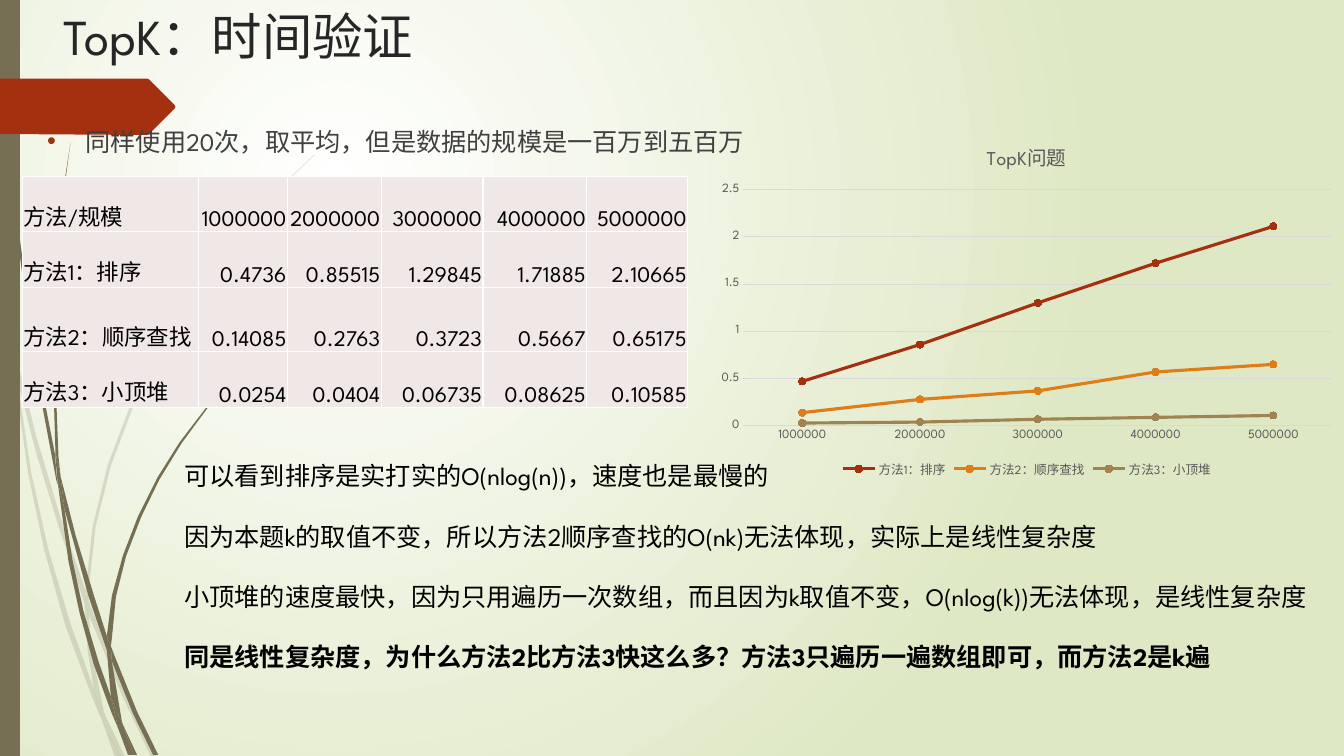
import lxml.etree
import pptx
import pptx.chart.data
import pptx.dml.color
import pptx.enum.chart
import pptx.enum.text
import pptx.oxml.ns
import pptx.util

Inches = pptx.util.Inches
Pt = pptx.util.Pt
RGBColor = pptx.dml.color.RGBColor
qn = pptx.oxml.ns.qn

FONT = "League Spartan"
WHITE = RGBColor(0xFF, 0xFF, 0xFF)
BLACK = RGBColor(0, 0, 0)
INK = RGBColor(0x26, 0x26, 0x26)
BODY = RGBColor(0x40, 0x40, 0x40)
LABEL = RGBColor(0x59, 0x59, 0x59)
GRID = RGBColor(0xD9, 0xD9, 0xD9)
CELL = RGBColor(0xF0, 0xE8, 0xE7)
MEADOW = RGBColor(0xDF, 0xE8, 0xC4)
STEM = RGBColor(0x76, 0x6F, 0x54)
RED = RGBColor(0xA5, 0x30, 0x10)
ORANGE = RGBColor(0xDE, 0x7E, 0x18)
TAN = RGBColor(0x9F, 0x83, 0x51)

SIZES = ["1000000", "2000000", "3000000", "4000000", "5000000"]
TIMES = {
    "方法1：排序": ["0.4736", "0.85515", "1.29845", "1.71885", "2.10665"],
    "方法2：顺序查找": ["0.14085", "0.2763", "0.3723", "0.5667", "0.65175"],
    "方法3：小顶堆": ["0.0254", "0.0404", "0.06735", "0.08625", "0.10585"],
}
COLUMN_WIDTHS = [1.75, 0.88, 0.93, 1.01, 1.03, 1]
ROW_HEIGHTS = [0.55, 0.55, 0.64, 0.55]
FINDINGS = [
    "可以看到排序是实打实的O(nlog(n))，速度也是最慢的",
    "因为本题k的取值不变，所以方法2顺序查找的O(nk)无法体现，实际上是线性复杂度",
    "小顶堆的速度最快，因为只用遍历一次数组，而且因为k取值不变，O(nlog(k))无法体现，是线性复杂度",
    "同是线性复杂度，为什么方法2比方法3快这么多？方法3只遍历一遍数组即可，而方法2是k遍",
]

PALE_STEMS = [
    [(0.11, 3.5), (0.09, 3.22), (0, 2.82), (0, 2.99), (0.1, 3.44)],
    [(0.58, 5.22), (0.84, 5.99), (0.85, 5.86), (0.62, 5.2), (0.36, 4.33), (0.14, 3.45),
     (0.17, 3.76), (0.36, 4.5)],
    [(0.92, 6.07), (0.88, 5.96), (0.88, 6.1), (1.23, 6.94), (1.5, 7.51), (1.55, 7.51),
     (1.27, 6.92)],
    [(1.19, 7.51), (1.24, 7.51), (1.05, 7.11)],
    [(0.93, 6.83), (0.7, 6.19), (0.48, 5.45), (0.31, 4.69), (0.17, 3.76), (0.11, 3.5),
     (0.28, 4.7), (0.44, 5.46), (0.65, 6.21), (0.92, 6.93), (1.01, 7.14), (0.99, 7.07)],
    [(0.84, 5.99), (0.87, 6.46), (0.93, 6.83), (0.96, 6.92), (1.05, 7.11), (1.03, 7.06),
     (0.91, 6.46), (0.88, 6.1), (0.88, 6.08)],
    [(0.88, 5.84), (0.95, 5.22), (1.1, 4.62), (1.32, 4.04), (1.6, 3.49), (1.92, 2.96),
     (2.29, 2.45), (2.68, 1.98), (2.9, 1.75), (3.12, 1.54), (3.12, 1.53), (2.89, 1.75),
     (2.68, 1.97), (2.28, 2.44), (1.9, 2.95), (1.58, 3.48), (1.29, 4.03), (1.07, 4.61),
     (0.92, 5.22), (0.85, 5.84), (0.85, 5.86), (0.88, 5.96)],
    [(1.01, 7.14), (1.14, 7.51), (1.19, 7.51)],
    [(0.88, 6.08), (0.88, 6.1), (0.88, 5.96), (0.85, 5.86), (0.84, 5.99)],
    [(0.96, 6.92), (0.93, 6.83), (0.99, 7.07), (1.01, 7.14), (1.19, 7.51), (1.05, 7.11)],
]
DARK_STEMS = [
    [(0.07, 1.1), (0.17, 2.33), (0.33, 3.55), (0.56, 4.77), (0.57, 4.81), (0.55, 4.57),
     (0.55, 4.53), (0.36, 3.55), (0.19, 2.32), (0.08, 1.09), (0.05, 0.48), (0.04, 0),
     (0.03, 0), (0.04, 0.48)],
    [(0.88, 5.92), (1.06, 6.45), (1.06, 6.33), (1.06, 6.31), (0.93, 5.9), (0.75, 5.31),
     (0.6, 4.72), (0.64, 5.05)],
    [(1.13, 6.49), (1.1, 6.41), (1.11, 6.56), (1.32, 7.08), (1.52, 7.49), (1.57, 7.49),
     (1.36, 7.06)],
    [(1.1, 6.91), (0.98, 6.57), (0.83, 6.07), (0.72, 5.56), (0.64, 5.05), (0.57, 4.77),
     (0.68, 5.57), (0.79, 6.08), (0.93, 6.59), (1.11, 7.08), (1.17, 7.22), (1.16, 7.17)],
    [(0.6, 4.72), (0.58, 4.53), (0.54, 3.49), (0.58, 2.45), (0.63, 1.93), (0.7, 1.41),
     (0.62, 1.93), (0.56, 2.45), (0.52, 3.49), (0.55, 4.49)],
    [(1.33, 7.49), (1.36, 7.49), (1.22, 7.19)],
    [(0.57, 4.77), (0.64, 5.05), (0.6, 4.72), (0.55, 4.49), (0.55, 4.53)],
    [(1.11, 6.33), (1.15, 5.92), (1.25, 5.52), (1.4, 5.13), (1.58, 4.76), (1.8, 4.4),
     (2.05, 4.06), (2.31, 3.74), (2.45, 3.59), (2.61, 3.44), (2.6, 3.44), (2.45, 3.58),
     (2.31, 3.73), (2.04, 4.05), (1.78, 4.39), (1.56, 4.74), (1.37, 5.12), (1.22, 5.51),
     (1.11, 5.91), (1.06, 6.31), (1.1, 6.41)],
    [(1.17, 7.22), (1.27, 7.49), (1.31, 7.49)],
    [(1.06, 6.45), (1.1, 6.91), (1.16, 7.06), (1.22, 7.19), (1.21, 7.16), (1.11, 6.56),
     (1.09, 6.51)],
    [(1.06, 6.45), (1.09, 6.51), (1.11, 6.56), (1.1, 6.41), (1.06, 6.31)],
    [(1.16, 7.06), (1.1, 6.91), (1.16, 7.17), (1.17, 7.22), (1.3, 7.49), (1.33, 7.49),
     (1.22, 7.19)],
]
SIDE_BAR = [(0, 0), (0.2, 0), (0.2, 7.5), (0, 7.5)]
RED_TAG = [(0, 0.78), (1.46, 0.78), (1.48, 0.79), (1.73, 1.04), (1.74, 1.06), (1.73, 1.08),
           (1.48, 1.33), (1.46, 1.34), (0, 1.33)]


def style_font(font, size, color, bold=False):
    font.name, font.size, font.bold = FONT, Pt(size), bold
    font.color.rgb = color


def write(para, text, size=18, color=BLACK, bold=False, align=None, before=0):
    para.alignment = align
    if before:
        para.space_before = Pt(before)
    span = para.add_run()
    span.text = text
    style_font(span.font, size, color, bold)


def add_child(parent, tag, **attributes):
    return lxml.etree.SubElement(parent, qn(tag), attributes)


class Page:
    def __init__(self, deck):
        self.slide = deck.slides.add_slide(deck.slide_layouts[6])
        self.shapes = self.slide.shapes

    def background(self, center, edge):
        """Fill the page with a round gradient."""
        fill = self.slide.background.fill
        fill.gradient()
        for stop, color in zip(fill.gradient_stops, (center, edge)):
            stop.color.rgb = color
        gradient = self.slide.element.find(".//" + qn("a:gradFill"))
        gradient.remove(gradient.find(qn("a:lin")))
        circle = add_child(gradient, "a:path", path="circle")
        add_child(circle, "a:fillToRect", l="50000", t="50000", r="100000", b="100000")

    def outline(self, points, color, opacity=100):
        start, *rest = [(Inches(x), Inches(y)) for x, y in points]
        builder = self.shapes.build_freeform(*start)
        builder.add_line_segments(rest, close=True)
        shape = builder.convert_to_shape()
        shape.shadow.inherit = False
        shape.line.fill.background()
        shape.fill.solid()
        shape.fill.fore_color.rgb = color
        if opacity < 100:
            add_child(shape.element.spPr.find(".//" + qn("a:srgbClr")), "a:alpha",
                      val=str(opacity * 1000))

    def text(self, left, top, width, height, lines, bullet=None, bold_last=False, **style):
        frame = self.shapes.add_textbox(*map(Inches, (left, top, width, height))).text_frame
        frame.word_wrap = True
        for index, line in enumerate(lines):
            para = frame.paragraphs[0] if index == 0 else frame.add_paragraph()
            if bullet:
                layout = para._p.get_or_add_pPr()
                layout.set("marL", str(Inches(0.38)))
                layout.set("indent", str(Inches(-0.38)))
                add_child(add_child(layout, "a:buClr"), "a:srgbClr", val=str(bullet))
                add_child(layout, "a:buFont", typeface="Arial")
                add_child(layout, "a:buChar", char="•")
            last = index == len(lines) - 1
            write(para, line, bold=bold_last and last, before=21.5 if index else 0, **style)

    def table(self, left, top, widths, heights, rows):
        box = map(Inches, (left, top, sum(widths), sum(heights)))
        table = self.shapes.add_table(len(heights), len(widths), *box).table
        for column, width in zip(table.columns, widths):
            column.width = Inches(width)
        for row, height in zip(table.rows, heights):
            row.height = Inches(height)
        for row_index, row in enumerate(rows):
            for column_index, value in enumerate(row):
                self.cell(table.cell(row_index, column_index), value, column_index > 0)

    def cell(self, cell, value, is_number):
        cell.margin_left = cell.margin_right = cell.margin_top = Inches(0.01)
        cell.margin_bottom = 0
        cell.vertical_anchor = pptx.enum.text.MSO_ANCHOR.BOTTOM
        align = pptx.enum.text.PP_ALIGN.RIGHT if is_number else None
        write(cell.text_frame.paragraphs[0], value, size=16, align=align)
        properties = cell._tc.get_or_add_tcPr()
        for side in ("a:lnL", "a:lnR", "a:lnT", "a:lnB"):
            border = add_child(properties, side, w=str(Pt(1)))
            add_child(add_child(border, "a:solidFill"), "a:srgbClr", val=str(WHITE))
        cell.fill.solid()
        cell.fill.fore_color.rgb = CELL

    def line_chart(self, left, top, width, height, title, categories, series, colors):
        data = pptx.chart.data.CategoryChartData()
        data.categories = categories
        for name, values in series.items():
            data.add_series(name, [round(float(value), 2) for value in values])
        chart = self.shapes.add_chart(pptx.enum.chart.XL_CHART_TYPE.LINE_MARKERS,
                                      *map(Inches, (left, top, width, height)), data).chart
        style_font(chart.font, 10, BLACK)
        chart.has_title = True
        write(chart.chart_title.text_frame.paragraphs[0], title, size=14, color=LABEL)
        chart.has_legend = True
        chart.legend.position = pptx.enum.chart.XL_LEGEND_POSITION.BOTTOM
        chart.legend.include_in_layout = False
        style_font(chart.legend.font, 9, LABEL)
        for axis in (chart.category_axis, chart.value_axis):
            axis.major_tick_mark = axis.minor_tick_mark = pptx.enum.chart.XL_TICK_MARK.NONE
            style_font(axis.tick_labels.font, 9, LABEL)
        chart.value_axis.format.line.fill.background()
        for line in (chart.category_axis.format.line,
                     chart.value_axis.major_gridlines.format.line):
            line.color.rgb, line.width = GRID, Pt(0.75)
        plot = chart.plots[0]
        plot.vary_by_categories = False
        for method, color in zip(plot.series, colors):
            method.smooth = False
            method.format.line.color.rgb, method.format.line.width = color, Pt(2.25)
            method.marker.style = pptx.enum.chart.XL_MARKER_STYLE.CIRCLE
            method.marker.size = 5
            method.marker.format.fill.solid()
            method.marker.format.fill.fore_color.rgb = color
            method.marker.format.line.color.rgb = color


def main():
    deck = pptx.Presentation()
    deck.slide_width, deck.slide_height = Inches(13.33), Inches(7.5)
    page = Page(deck)
    page.background(WHITE, MEADOW)
    for stem in PALE_STEMS:
        page.outline(stem, STEM, opacity=20)
    for stem in DARK_STEMS + [SIDE_BAR]:
        page.outline(stem, STEM)
    page.outline(RED_TAG, RED)
    page.text(0.53, 0, 11.5, 1.45, ["TopK：时间验证"], size=36, color=INK)
    page.text(0.37, 1.2, 11.5, 4.76, ["同样使用20次，取平均，但是数据的规模是一百万到五百万"],
              bullet=RED, color=BODY)
    rows = [["方法/规模", *SIZES]] + [[name, *values] for name, values in TIMES.items()]
    page.table(0.22, 1.75, COLUMN_WIDTHS, ROW_HEIGHTS, rows)
    page.line_chart(7.03, 1.23, 6.31, 3.55, "TopK问题", SIZES, TIMES, [RED, ORANGE, TAN])
    page.text(1.73, 4.52, 11.5, 2.52, FINDINGS, bold_last=True)
    deck.save("out.pptx")


if __name__ == "__main__":
    main()
